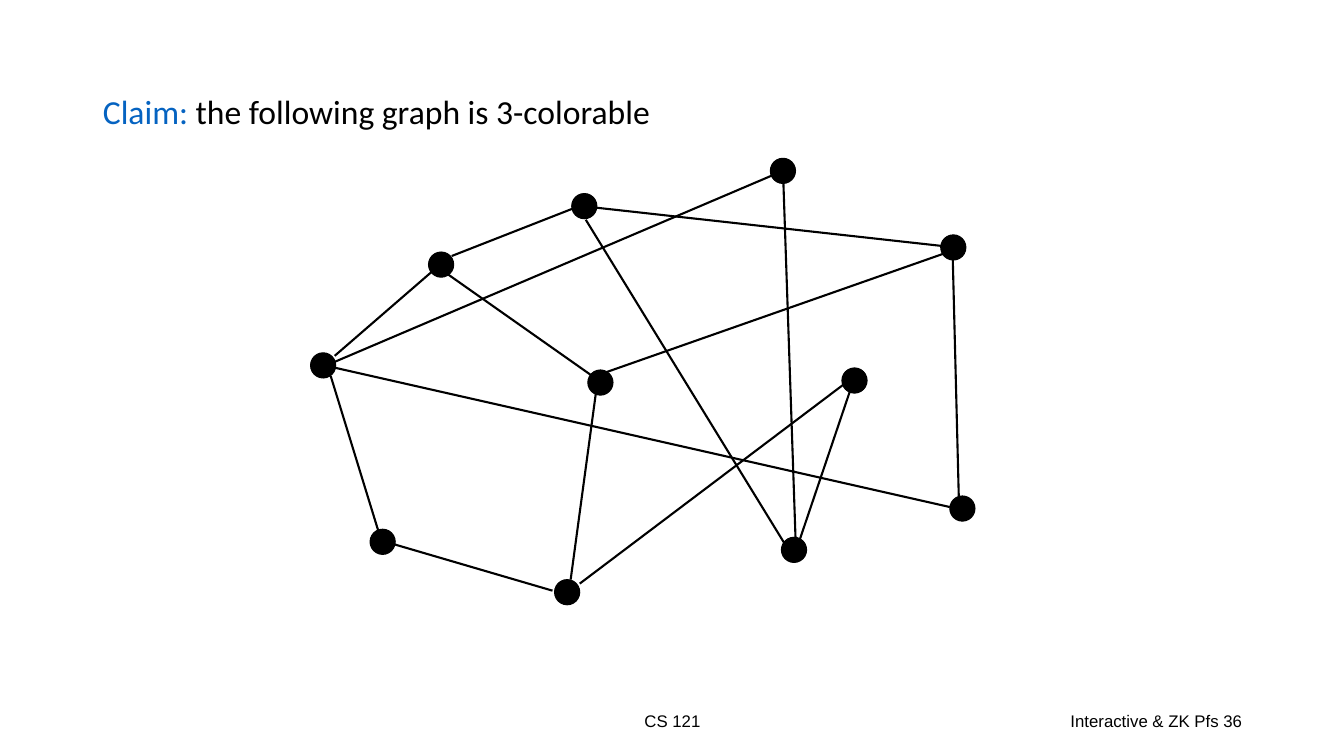
import pptx
import pptx.util
import pptx.dml.color
import pptx.enum.shapes
import pptx.enum.text
from lxml import etree

Inches = pptx.util.Inches
Pt = pptx.util.Pt
ALIGN = pptx.enum.text.PP_ALIGN
BLACK = pptx.dml.color.RGBColor(0x00, 0x00, 0x00)
BLUE = pptx.dml.color.RGBColor(0x05, 0x63, 0xC1)

TITLE_RUNS = [("Claim: ", BLUE), ("the following graph is 3-colorable", BLACK)]
FOOTERS = [
    ("CS 121", 4.42, 4.5, ALIGN.CENTER),
    ("Interactive & ZK Pfs 36", 9.42, 3, ALIGN.RIGHT),
]
EDGES = [
    ((3.32, 3.53), (4.29, 2.69)),
    ((3.28, 3.73), (3.75, 5.26)),
    ((3.33, 3.65), (9.42, 5.03)),
    ((5.91, 3.9), (5.66, 5.75)),
    ((6.02, 3.69), (9.35, 2.52)),
    ((7.77, 1.81), (7.89, 5.33)),
    ((8.43, 3.88), (7.93, 5.36)),
    ((3.91, 5.4), (5.48, 5.86)),
    ((5.81, 2.18), (7.78, 5.39)),
    ((5.68, 2.07), (4.48, 2.54)),
    ((5.91, 2.06), (9.34, 2.44)),
    ((8.36, 3.82), (5.75, 5.79)),
    ((4.44, 2.72), (5.86, 3.72)),
    ((9.45, 2.58), (9.51, 4.95)),
    ((7.66, 1.74), (3.32, 3.59)),
]
NODE_SIZE = 0.25
NODES = [
    (4.25, 2.5), (5.5, 5.75), (7.64, 1.57), (9.42, 4.92),
    (3.67, 5.25), (8.35, 3.65), (5.83, 3.67), (5.67, 1.92),
    (9.33, 2.33), (3.08, 3.5), (7.75, 5.33),
]


def add_run(p, text, font, size, color):
    r = p.add_run()
    r.text = text
    r.font.name = font
    r.font.size = Pt(size)
    r.font.color.rgb = color


def add_footer(s, text, left, width, align):
    tf = s.shapes.add_textbox(Inches(left), Inches(6.95), Inches(width), Inches(0.4)).text_frame
    tf.word_wrap = True
    tf.vertical_anchor = pptx.enum.text.MSO_ANCHOR.MIDDLE
    p = tf.paragraphs[0]
    p.alignment = align
    add_run(p, text, "Arial", 12, BLACK)


def add_title(s):
    title = s.shapes.title
    title.left, title.top = Inches(0.92), Inches(0.4)
    title.width, title.height = Inches(11.5), Inches(1.45)
    tf = title.text_frame
    tf.vertical_anchor = pptx.enum.text.MSO_ANCHOR.MIDDLE
    p = tf.paragraphs[0]
    p.alignment = ALIGN.LEFT
    p.line_spacing = 0.9
    for text, color in TITLE_RUNS:
        add_run(p, text, "Calibri", 24, color)


def add_edge(s, start, end):
    line = s.shapes.add_connector(
        pptx.enum.shapes.MSO_CONNECTOR.STRAIGHT, *map(Inches, start + end))
    line.line.color.rgb = BLACK
    line.line.width = Pt(1.5)
    etree.SubElement(line._element.spPr, pptx.oxml.ns.qn("a:effectLst"))


def add_node(s, left, top):
    node = s.shapes.add_shape(
        pptx.enum.shapes.MSO_SHAPE.OVAL,
        Inches(left), Inches(top), Inches(NODE_SIZE), Inches(NODE_SIZE))
    node.shadow.inherit = False
    node.fill.solid()
    node.fill.fore_color.rgb = BLACK
    node.line.color.rgb = BLACK
    node.line.width = Pt(0.75)


def main():
    prs = pptx.Presentation()
    prs.slide_width, prs.slide_height = Inches(13.33), Inches(7.5)
    s = prs.slides.add_slide(prs.slide_layouts[5])
    add_title(s)
    for footer in FOOTERS:
        add_footer(s, *footer)
    for start, end in EDGES:
        add_edge(s, start, end)
    for left, top in NODES:
        add_node(s, left, top)
    prs.save("out.pptx")


if __name__ == "__main__":
    main()
